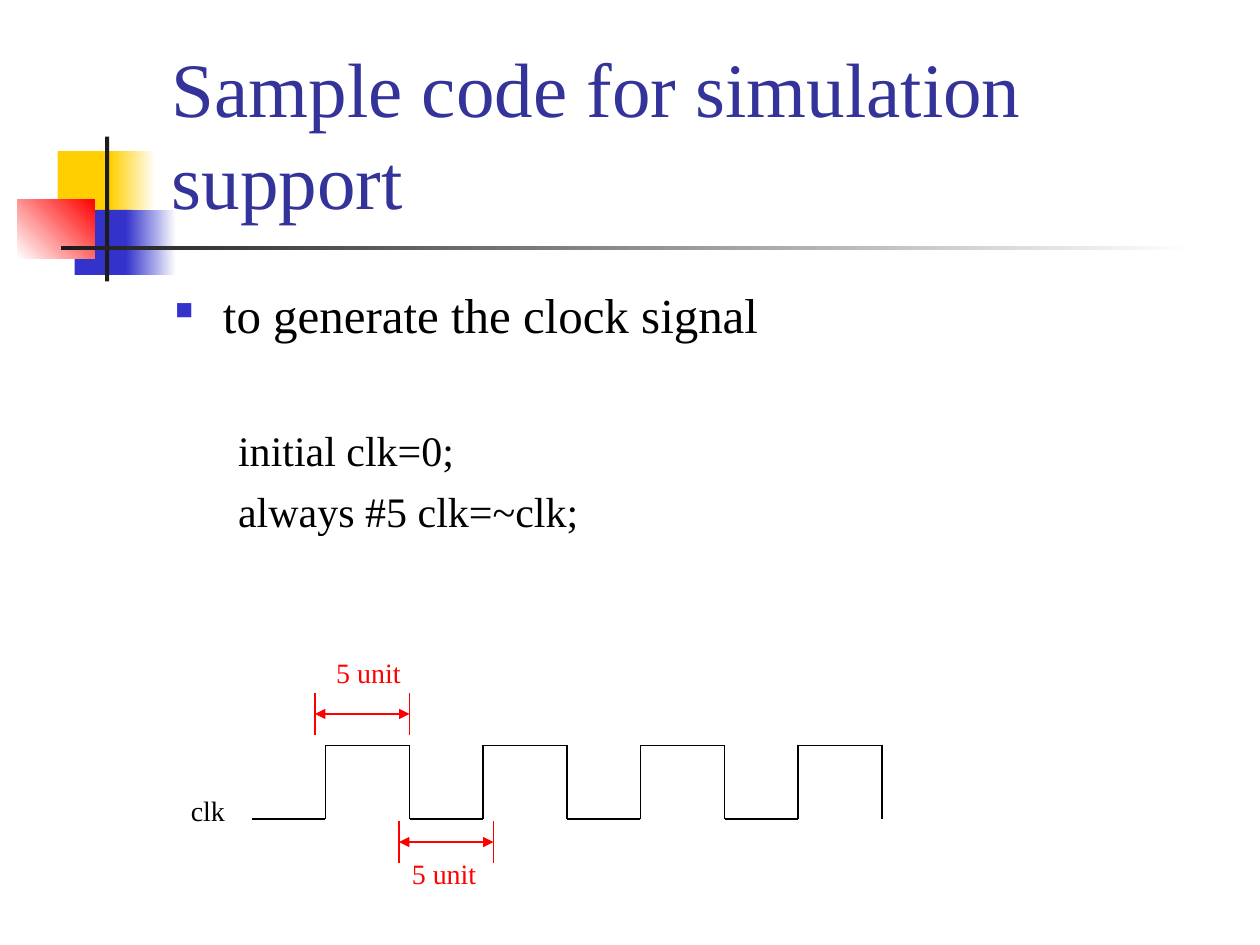
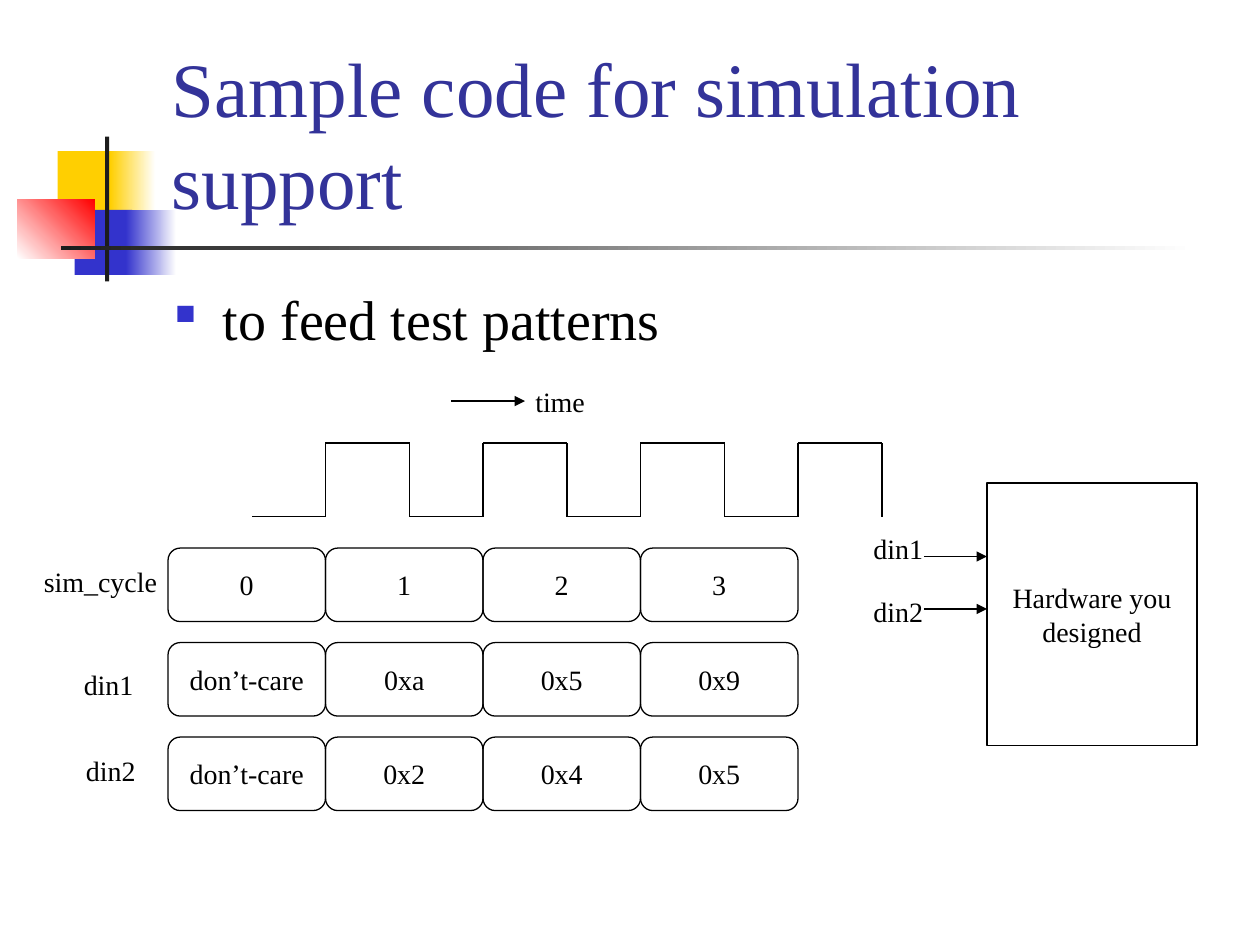
from dataclasses import dataclass
from itertools import pairwise
from typing import NamedTuple

from lxml import etree
from pptx import Presentation
from pptx.dml.color import RGBColor
from pptx.enum import shapes, text
from pptx.oxml.ns import qn
from pptx.shapes.autoshape import Shape
from pptx.slide import Slide
from pptx.util import Inches, Length, Pt


@dataclass(frozen=True)
class Theme:
    face: str = "Times New Roman"
    black: str = "000000"
    white: str = "FFFFFF"
    red: str = "FF0000"
    blue: str = "3333CC"
    gold: str = "FFCF01"
    coal: str = "1C1C1C"
    head: str = "333399"
    title: float = 44
    lead: float = 32
    point: float = 28
    code: float = 24
    small: float = 16
    line: float = 0.75


class Box(NamedTuple):
    col: float
    row: float
    wide: float
    high: float


class Block(NamedTuple):
    box: Box
    start: str
    end: str = ""
    angle: float = 0


class Label(NamedTuple):
    words: str
    col: float
    row: float
    wide: float
    color: str = "000000"


class Item(NamedTuple):
    words: str
    size: float
    left: float = 0
    hang: float = 0
    gap: float = 0
    mark: bool = False


class Span(NamedTuple):
    col: float
    row: float
    shift: float
    drop: float


T = Theme()
WIDE, HIGH = Inches(10), Inches(7.5)
COLS, ROWS = 120, 90
STEP, LOW, RISE = 15, 7, 7

DECOR = (
    Block(Box(5.5, 14.4, 5.8, 6.2), T.gold),
    Block(Box(10.5, 14.4, 4.3, 6.2), T.gold, T.white),
    Block(Box(7.1, 20, 5.5, 6.2), T.blue),
    Block(Box(12, 20, 4.8, 6.2), T.blue, T.white),
    Block(Box(1.65, 19, 7.4, 5.6), T.white, T.red, 45),
    Block(Box(10, 13, 0.4, 13.8), T.coal),
    Block(Box(5.8, 23.4, 108, 0.4), T.coal, T.white),
)
SPANS = (Span(30, 66, 0.84, -4.2), Span(38, 78.2, 0.04, 2.8))
CELLS = (
    ("0", "1", "2", "3"),
    ("don’t-care", "0xa", "0x5", "0x9"),
    ("don’t-care", "0x2", "0x4", "0x5"),
)
NAMES = (
    Label("sim_cycle", 3, 53.2, 13.2),
    Label("din1", 6.8, 63, 7.1),
    Label("din2", 7, 71.2, 7.1),
    Label("din1", 82, 50, 7.1),
    Label("din2", 82, 56, 7.1),
    Label("time", 49.8, 36, 7.1),
)


def across(col: float) -> Length:
    return Length(round(WIDE * col / COLS))


def down(row: float) -> Length:
    return Length(round(HIGH * row / ROWS))


def place(box: Box) -> tuple[Length, ...]:
    return across(box.col), down(box.row), across(box.wide), down(box.high)


def paint(color: str) -> RGBColor:
    return RGBColor.from_string(color)


def write(shape: Shape, items: list[Item], color: str = T.black,
          wrap: bool = False, align=text.PP_ALIGN.LEFT,
          anchor=text.MSO_ANCHOR.TOP) -> None:
    frame = shape.text_frame
    frame.word_wrap = wrap
    frame.vertical_anchor = anchor
    for index, item in enumerate(items):
        para = frame.add_paragraph() if index else frame.paragraphs[0]
        para.text = item.words
        para.alignment = align
        para.space_before = Pt(item.gap)
        props = para._p.get_or_add_pPr()
        props.set("marL", str(Inches(item.left)))
        props.set("indent", str(Inches(item.hang)))
        if item.mark:
            tint = etree.SubElement(props, qn("a:buClr"))
            etree.SubElement(tint, qn("a:srgbClr"), val=T.blue)
            etree.SubElement(props, qn("a:buSzPct"), val="50000")
            etree.SubElement(props, qn("a:buChar"), char="■")
        para.font.name = T.face
        para.font.size = Pt(item.size)
        para.font.color.rgb = paint(color)


def label(slide: Slide, tag: Label) -> None:
    shape = slide.shapes.add_textbox(*place(Box(tag.col, tag.row, tag.wide, 4.4)))
    write(shape, [Item(tag.words, T.small)], tag.color)
    shape.text_frame.auto_size = text.MSO_AUTO_SIZE.SHAPE_TO_FIT_TEXT


def block(slide: Slide, part: Block) -> None:
    shape = slide.shapes.add_shape(shapes.MSO_SHAPE.RECTANGLE, *place(part.box))
    shape.shadow.inherit = False
    shape.line.fill.background()
    if part.end:
        shape.fill.gradient()
        shape.fill.gradient_angle = part.angle
        for stop, color in zip(shape.fill.gradient_stops, (part.start, part.end)):
            stop.color.rgb = paint(color)
    else:
        shape.fill.solid()
        shape.fill.fore_color.rgb = paint(part.start)


def frame(slide: Slide, kind: shapes.MSO_SHAPE, box: Box, *lines: str) -> None:
    shape = slide.shapes.add_shape(kind, *place(box))
    shape.shadow.inherit = False
    shape.fill.background()
    shape.line.color.rgb = paint(T.black)
    shape.line.width = Pt(T.line)
    write(shape, [Item(line, T.small) for line in lines],
          align=text.PP_ALIGN.CENTER, anchor=text.MSO_ANCHOR.MIDDLE)


def line(slide: Slide, start: tuple[float, float], end: tuple[float, float],
         color: str = T.black, tips: tuple[str, ...] = ()) -> None:
    link = slide.shapes.add_connector(
        shapes.MSO_CONNECTOR.STRAIGHT,
        across(start[0]), down(start[1]), across(end[0]), down(end[1]))
    link.line.color.rgb = paint(color)
    link.line.width = Pt(T.line)
    for tip in tips:
        etree.SubElement(link.line._get_or_add_ln(), qn(f"a:{tip}"), type="triangle")
    etree.SubElement(link._element.spPr, qn("a:effectLst"))


def wave(slide: Slide, base: float) -> None:
    top = base - RISE
    dots = [(24, base)]
    for turn in range(4):
        rise, fall = 24 + turn * STEP + LOW, 24 + (turn + 1) * STEP
        dots += [(rise, base), (rise, top), (fall, top), (fall, base)]
    for start, end in pairwise(dots):
        line(slide, start, end)


def span(slide: Slide, gauge: Span) -> None:
    left, right = gauge.col, gauge.col + 9
    top, base = gauge.row, gauge.row + 4
    for col in (left, right):
        line(slide, (col, top), (col, base), T.red)
    line(slide, (left, top + 2), (right, top + 2), T.red, ("headEnd", "tailEnd"))
    label(slide, Label("5 unit", left + gauge.shift, top + gauge.drop, 8.5, T.red))


def page(deck, items: list[Item], high: float) -> Slide:
    slide = deck.slides.add_slide(deck.slide_layouts[6])
    for part in DECOR:
        block(slide, part)
    title = slide.shapes.add_textbox(*place(Box(15.2, 2.8, 102.2, 19.2)))
    write(title, [Item("Sample code for simulation support", T.title)], T.head,
          True, anchor=text.MSO_ANCHOR.BOTTOM)
    body = slide.shapes.add_textbox(*place(Box(15.5, 26.5, 102, high)))
    write(body, items, wrap=True)
    return slide


def clock(deck) -> None:
    slide = page(deck, [
        Item("to generate the clock signal", T.point, 0.38, -0.38, 7, True),
        Item("initial clk=0;", T.code, 0.81, -0.31, 46.5),
        Item("always #5 clk=~clk;", T.code, 0.81, -0.31, 6),
    ], 25.5)
    wave(slide, 78)
    label(slide, Label("clk", 17, 75, 5.7))
    for gauge in SPANS:
        span(slide, gauge)


def feed(deck) -> None:
    slide = page(deck, [
        Item("to feed test patterns", T.lead, 0.38, -0.38, 8, True)], 8.5)
    frame(slide, shapes.MSO_SHAPE.RECTANGLE, Box(94, 46, 20, 25),
          "Hardware you", "designed")
    wave(slide, 49.2)
    for row, words in enumerate(CELLS):
        for col, word in enumerate(words):
            frame(slide, shapes.MSO_SHAPE.ROUNDED_RECTANGLE,
                  Box(16 + col * STEP, 52.2 + row * 9, STEP, RISE), word)
    for start, end in (((88, 53), (94, 53)), ((88, 58), (94, 58)),
                       ((43, 38.2), (50, 38.2))):
        line(slide, start, end, tips=("tailEnd",))
    for name in NAMES:
        label(slide, name)


def main() -> None:
    deck = Presentation()
    deck.slide_width, deck.slide_height = WIDE, HIGH
    clock(deck)
    feed(deck)
    deck.save("out.pptx")


if __name__ == "__main__":
    main()
